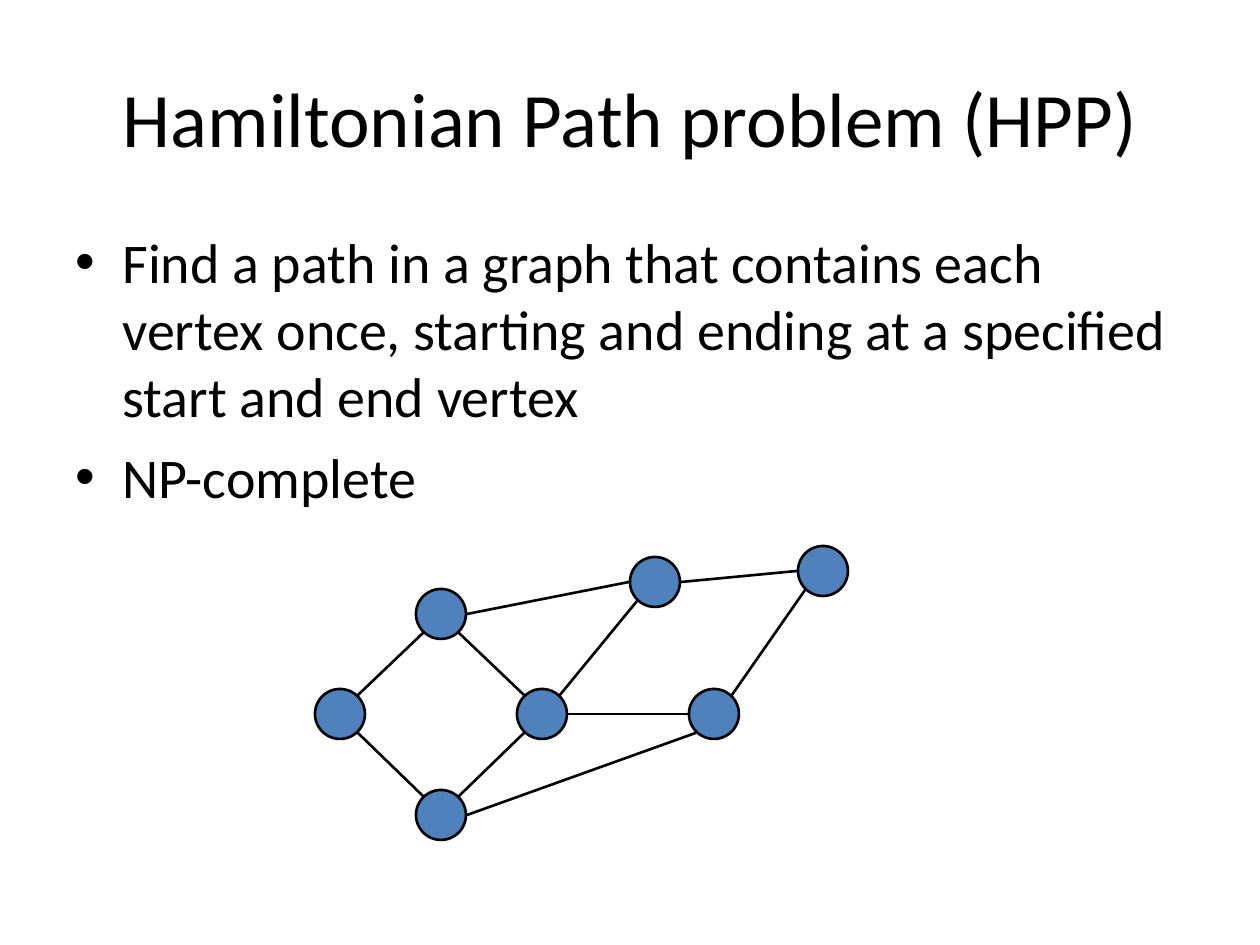
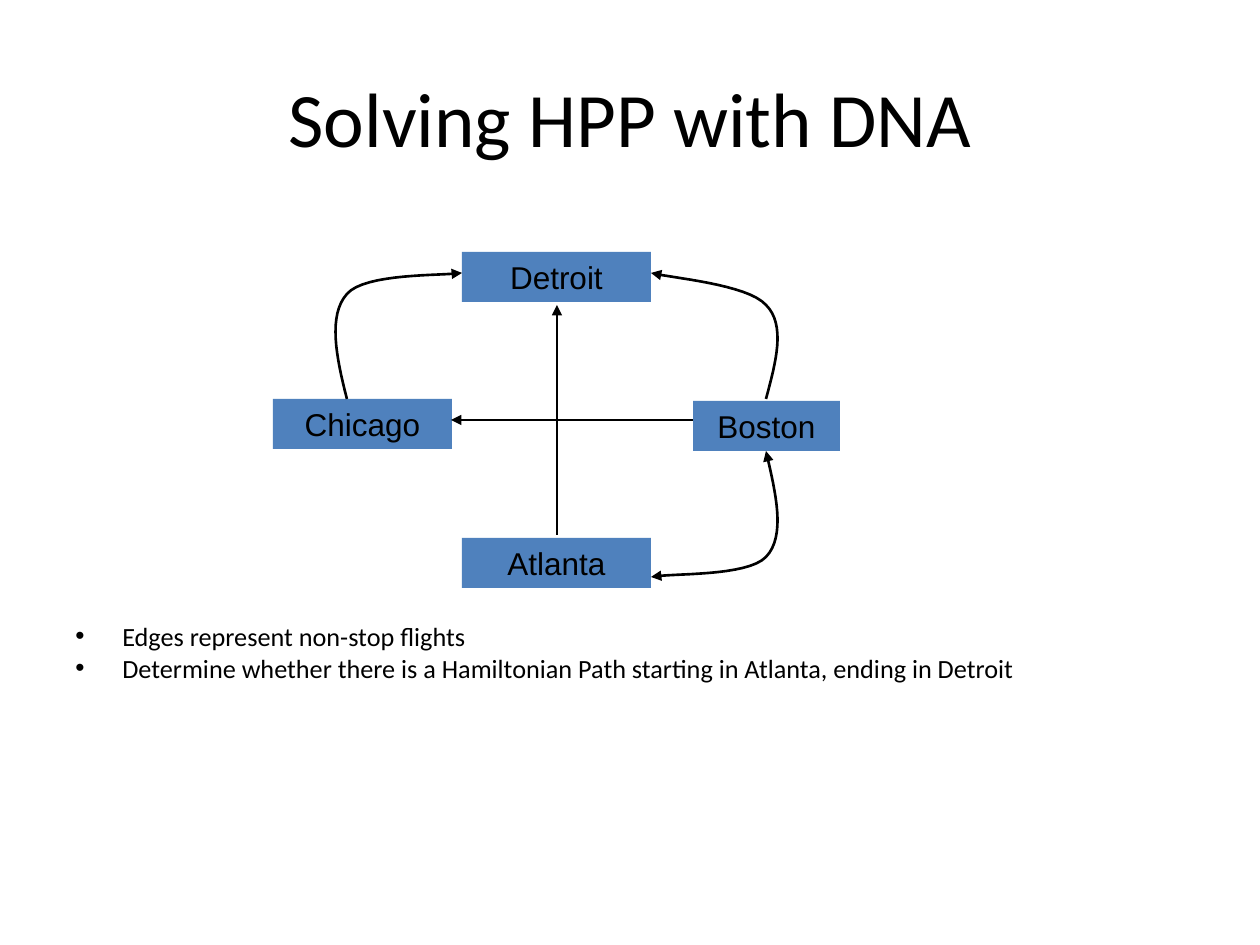
from dataclasses import dataclass

from lxml.etree import SubElement
from pptx import Presentation
from pptx.dml.color import RGBColor
from pptx.enum.shapes import MSO_CONNECTOR, MSO_SHAPE
from pptx.enum.text import MSO_ANCHOR, PP_ALIGN
from pptx.oxml.ns import qn
from pptx.util import Emu, Pt

PX_PER_INCH = 126
EMU_PER_PX = 914400 / PX_PER_INCH
SLIDE_SIZE = (1260, 945)


@dataclass(frozen=True)
class Theme:
    ink: RGBColor = RGBColor(0x00, 0x00, 0x00)
    accent: RGBColor = RGBColor(0x4F, 0x81, 0xBD)
    text_font: str = "Calibri"
    label_font: str = "Arial"
    title_size: int = 44
    body_size: int = 32
    note_size: int = 15
    label_size: int = 18
    line_width: float = 1.5


THEME = Theme()

TITLE_BOX = (53, 38, 1155, 158)
BULLET_INDENT = 47

VERTEX_RADIUS = 25
VERTICES = {
    "hub": (542, 714),
    "left": (340, 714),
    "top": (441, 614),
    "bottom": (441, 815),
    "right": (714, 714),
    "upper": (655, 582),
    "far": (823, 571),
}
# Unit offsets of the points on a vertex where an edge may end
SIDES = {
    "E": (1.04, 0), "W": (-1.04, 0),
    "NE": (0.71, -0.75), "NW": (-0.71, -0.75),
    "SE": (0.71, 0.75), "SW": (-0.71, 0.75),
}
EDGES = [
    ("top", "SW", "left", "NE"),
    ("bottom", "NW", "left", "SE"),
    ("bottom", "NE", "hub", "SW"),
    ("top", "SE", "hub", "NW"),
    ("hub", "E", "right", "W"),
    ("right", "NE", "far", "SW"),
    ("bottom", "E", "right", "SW"),
    ("upper", "E", "far", "W"),
    ("hub", "NE", "upper", "SW"),
    ("top", "E", "upper", "W"),
]

CITY_HEIGHT = 50
CITIES = {
    "Detroit": (462, 252, 189),
    "Atlanta": (462, 538, 189),
    "Boston": (693, 401, 147),
    "Chicago": (273, 399, 179),
}
STRAIGHT_FLIGHTS = [
    ((557, 535), (557, 305)),
    ((693, 420), (451, 420)),
]
# Start point, then two control points and an end point per curve; two-way or not
CURVED_FLIGHTS = [
    ([(347, 399), (336, 357), (328, 315), (347, 294),
      (365, 273), (442, 276), (462, 273)], False),
    ([(766, 451), (776, 494), (786, 536), (766, 557),
      (747, 577), (670, 573), (651, 577)], True),
    ([(766, 399), (776, 362), (786, 325), (766, 305),
      (747, 284), (670, 278), (651, 273)], False),
]


def px(length):
    return Emu(round(length * EMU_PER_PX))


def px_all(lengths):
    return [px(length) for length in lengths]


def style_text(paragraph, font_name, size):
    paragraph.font.name = font_name
    paragraph.font.size = Pt(size)
    paragraph.font.color.rgb = THEME.ink


def style_line(line_owner, head=False, tail=False):
    """Draw a plain outline, with arrowheads at its start (head) or end (tail)."""
    line_owner.line.color.rgb = THEME.ink
    line_owner.line.width = Pt(THEME.line_width)
    outline = line_owner.element.spPr.find(qn("a:ln"))
    for tag, wanted in (("a:headEnd", head), ("a:tailEnd", tail)):
        if wanted:
            SubElement(outline, qn(tag), type="triangle")


def add_title(slide, text):
    frame = slide.shapes.add_textbox(*px_all(TITLE_BOX)).text_frame
    frame.word_wrap = True
    frame.vertical_anchor = MSO_ANCHOR.MIDDLE
    heading = frame.paragraphs[0]
    heading.text = text
    heading.alignment = PP_ALIGN.CENTER
    style_text(heading, THEME.text_font, THEME.title_size)


def add_bullets(slide, box, items, size, space_before, line_spacing=1.0):
    frame = slide.shapes.add_textbox(*px_all(box)).text_frame
    frame.word_wrap = True
    for index, item in enumerate(items):
        bullet = frame.add_paragraph() if index else frame.paragraphs[0]
        bullet.text = item
        bullet.space_before = Pt(space_before)
        bullet.line_spacing = line_spacing
        properties = bullet._p.get_or_add_pPr()
        properties.set("marL", str(px(BULLET_INDENT)))
        properties.set("indent", str(-px(BULLET_INDENT)))
        SubElement(properties, qn("a:buFont"), typeface="Arial")
        SubElement(properties, qn("a:buChar"), char="•")
        style_text(bullet, THEME.text_font, size)


def add_filled(slide, preset, box):
    shape = slide.shapes.add_shape(preset, *px_all(box))
    shape.shadow.inherit = False
    shape.fill.solid()
    shape.fill.fore_color.rgb = THEME.accent
    return shape


def add_vertex(slide, center):
    x, y = center
    diameter = 2 * VERTEX_RADIUS
    box = (x - VERTEX_RADIUS, y - VERTEX_RADIUS, diameter, diameter)
    style_line(add_filled(slide, MSO_SHAPE.OVAL, box))


def add_city(slide, name, left, top, width):
    city = add_filled(slide, MSO_SHAPE.RECTANGLE, (left, top, width, CITY_HEIGHT))
    city.line.fill.background()
    frame = city.text_frame
    frame.word_wrap = True
    frame.vertical_anchor = MSO_ANCHOR.MIDDLE
    label = frame.paragraphs[0]
    label.text = name
    label.alignment = PP_ALIGN.CENTER
    style_text(label, THEME.label_font, THEME.label_size)


def add_straight(slide, start, end, tail=False):
    connector = slide.shapes.add_connector(
        MSO_CONNECTOR.STRAIGHT, *px_all((*start, *end)))
    style_line(connector, tail=tail)
    SubElement(connector.element.spPr, qn("a:effectLst"))


def vertex_side(vertex, side):
    return [center + VERTEX_RADIUS * offset
            for center, offset in zip(VERTICES[vertex], SIDES[side])]


def curve_points(controls, steps=16):
    """Sample a chain of cubic Bézier curves, leaving out its start point."""
    points = []
    for first in range(0, len(controls) - 1, 3):
        for step in range(1, steps + 1):
            t = step / steps
            weights = ((1 - t) ** 3, 3 * t * (1 - t) ** 2,
                       3 * t ** 2 * (1 - t), t ** 3)
            points.append([
                px(sum(w * value for w, value in zip(weights, axis)))
                for axis in zip(*controls[first:first + 4])])
    return points


def add_curved_flight(slide, controls, two_way):
    builder = slide.shapes.build_freeform(*px_all(controls[0]))
    builder.add_line_segments(curve_points(controls), close=False)
    flight = builder.convert_to_shape()
    flight.shadow.inherit = False
    flight.fill.background()
    style_line(flight, head=two_way, tail=True)


def build_problem_slide(slide):
    add_title(slide, "Hamiltonian Path problem (HPP)")
    add_bullets(slide, (63, 221, 1134, 620), [
        "Find a path in a graph that contains each vertex once, "
        "starting and ending at a specified start and end vertex",
        "NP-complete",
    ], THEME.body_size, space_before=8)
    for center in VERTICES.values():
        add_vertex(slide, center)
    for source, source_side, target, target_side in EDGES:
        add_straight(slide, vertex_side(source, source_side),
                     vertex_side(target, target_side))


def build_flights_slide(slide):
    add_title(slide, "Solving HPP with DNA")
    add_bullets(slide, (63, 620, 1134, 105), [
        "Edges represent non-stop flights",
        "Determine whether there is a Hamiltonian Path "
        "starting in Atlanta, ending in Detroit",
    ], THEME.note_size, space_before=3.7, line_spacing=0.8)
    for name, place in CITIES.items():
        add_city(slide, name, *place)
    for controls, two_way in CURVED_FLIGHTS:
        add_curved_flight(slide, controls, two_way)
    for start, end in STRAIGHT_FLIGHTS:
        add_straight(slide, start, end, tail=True)


def main():
    deck = Presentation()
    deck.slide_width, deck.slide_height = px_all(SLIDE_SIZE)
    blank = deck.slide_layouts[6]
    for build in (build_problem_slide, build_flights_slide):
        build(deck.slides.add_slide(blank))
    deck.save("out.pptx")


if __name__ == "__main__":
    main()
